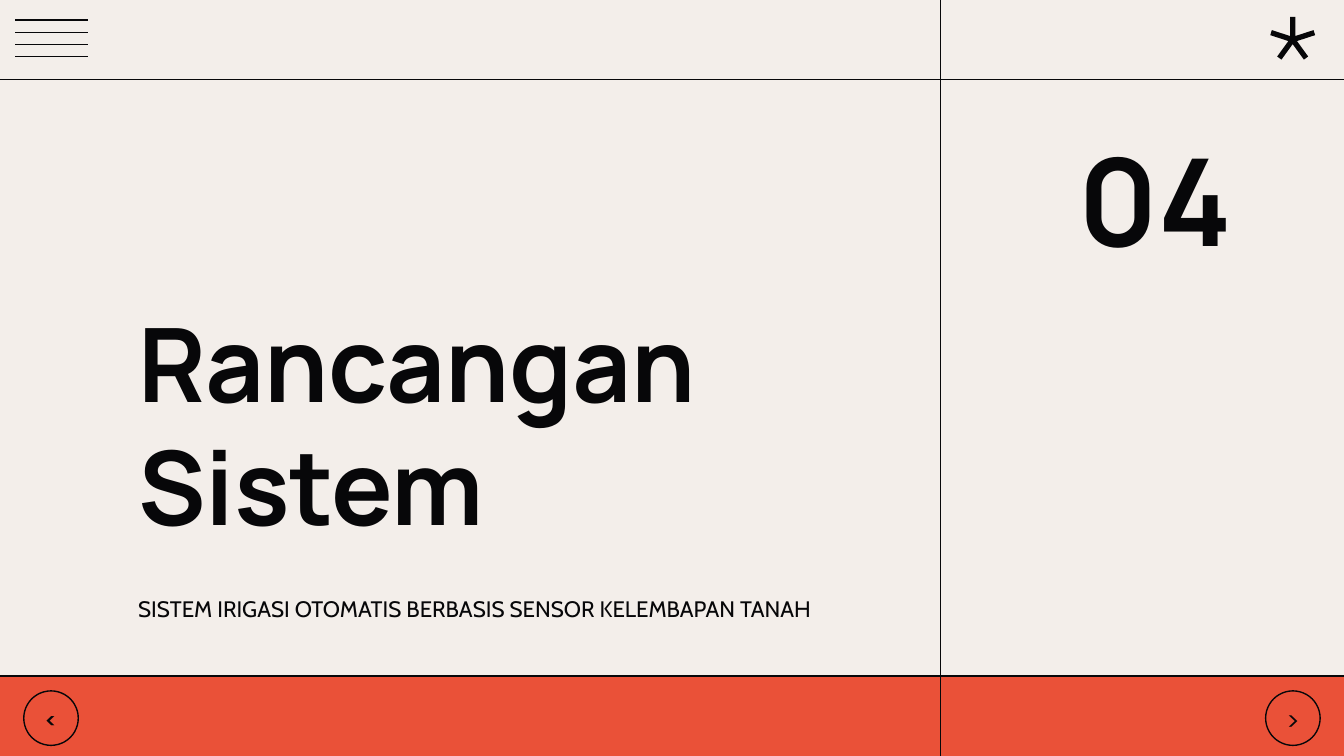
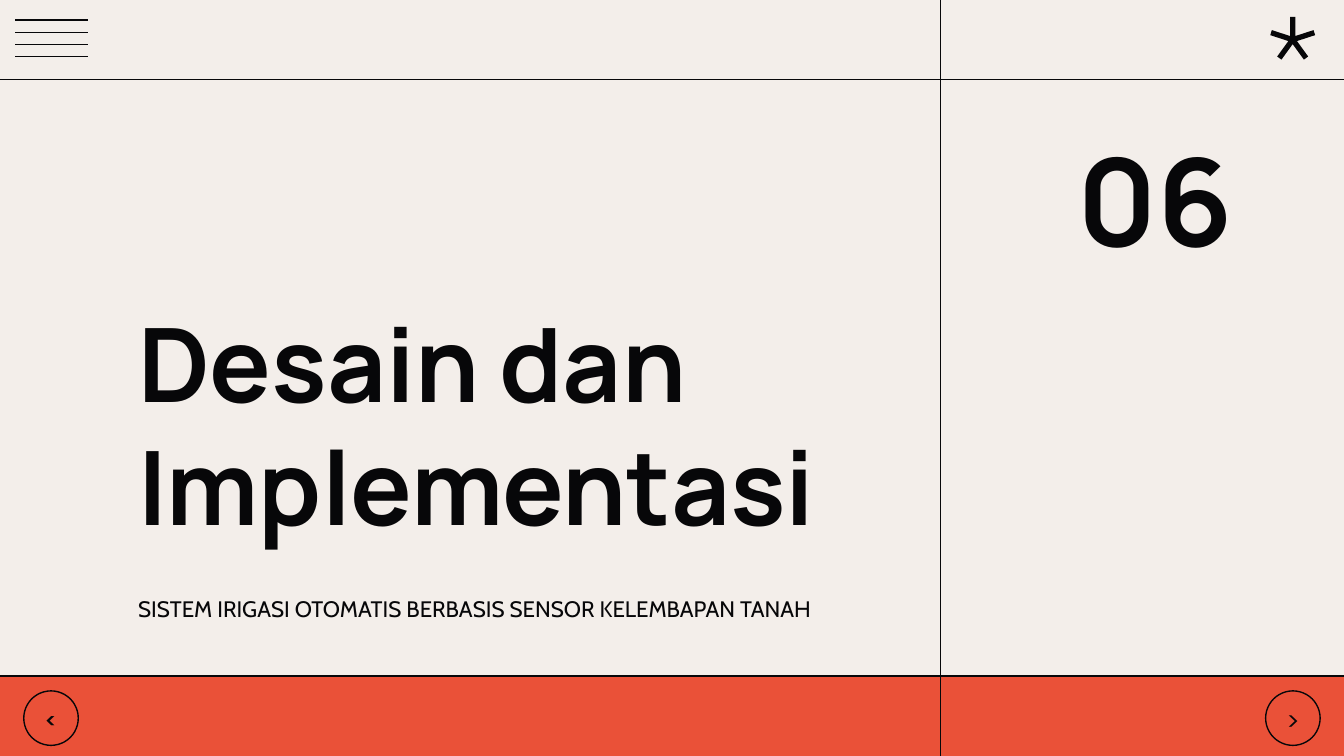
from math import cos, pi, sin

from lxml.etree import SubElement
from pptx import Presentation
from pptx.dml.color import RGBColor
from pptx.enum.shapes import MSO_CONNECTOR, MSO_SHAPE
from pptx.enum.text import MSO_ANCHOR, PP_ALIGN
from pptx.oxml.ns import qn
from pptx.util import Cm, Pt

SUBTITLE = "SISTEM IRIGASI OTOMATIS BERBASIS SENSOR KELEMBAPAN TANAH"
SECTIONS = [("04", "Rancangan Sistem"), ("06", "Desain dan Implementasi")]

INK = RGBColor(0x07, 0x07, 0x09)
PAPER = RGBColor(0xF3, 0xEE, 0xEA)
ORANGE = RGBColor(0xEA, 0x51, 0x38)
HEADING_FONT, BODY_FONT = "Manrope", "Cabin"

# All lengths below are centimetres.
WIDTH, HEIGHT = 25.4, 14.29
OVERHANG = 0.03
HEADER_RULE, FOOTER_RULE, FOOTER_TOP = 1.5, 12.78, 12.8
COLUMN_RULE = 17.78
MENU_LEFT, MENU_RIGHT, MENU_TOP, MENU_GAP, MENU_BARS = 0.28, 1.66, 0.38, 0.23, 4
STAR_X, STAR_Y, STAR_REACH, STAR_HALF_ARM, STAR_ARMS = 24.43, 0.75, 0.43, 0.05, 5
BUTTON_SIZE, BUTTON_MARGIN, BUTTON_TOP = 1.03, 0.45, 13.06
TEXT_LEFT, TEXT_WIDTH = 2.36, 14.07
INSET = 0.25


def add_rule(slide, x1, y1, x2, y2):
    rule = slide.shapes.add_connector(
        MSO_CONNECTOR.STRAIGHT, Cm(x1), Cm(y1), Cm(x2), Cm(y2))
    rule.line.color.rgb = INK
    rule.line.width = Pt(0.75)
    SubElement(rule._element.spPr, qn("a:effectLst"))


def write(shape, text, font, size, bold=False, align=PP_ALIGN.LEFT,
          anchor=MSO_ANCHOR.MIDDLE):
    frame = shape.text_frame
    frame.word_wrap = True
    frame.vertical_anchor = anchor
    frame.margin_left = frame.margin_right = Cm(INSET)
    frame.margin_top = frame.margin_bottom = Cm(INSET)
    paragraph = frame.paragraphs[0]
    paragraph.text = text
    paragraph.alignment = align
    paragraph.font.name = font
    paragraph.font.size = Pt(size)
    paragraph.font.bold = bold
    paragraph.font.color.rgb = INK
    return paragraph


def add_text(slide, left, top, width, height, *style, **options):
    box = slide.shapes.add_textbox(Cm(left), Cm(top), Cm(width), Cm(height))
    return write(box, *style, **options)


def add_star(slide):
    """Draw the asterisk: each arm has two tip corners, then a notch."""
    outline = []
    notch = STAR_HALF_ARM / sin(pi / STAR_ARMS)
    for arm in range(STAR_ARMS):
        angle = 2 * pi * arm / STAR_ARMS
        for side in (-STAR_HALF_ARM, STAR_HALF_ARM):
            outline.append((STAR_X + STAR_REACH * sin(angle) + side * cos(angle),
                            STAR_Y - STAR_REACH * cos(angle) + side * sin(angle)))
        angle += pi / STAR_ARMS
        outline.append((STAR_X + notch * sin(angle), STAR_Y - notch * cos(angle)))
    points = [(Cm(x), Cm(y)) for x, y in outline]
    builder = slide.shapes.build_freeform(*points[0])
    builder.add_line_segments(points[1:], close=True)
    star = builder.convert_to_shape()
    star.shadow.inherit = False
    star.fill.solid()
    star.fill.fore_color.rgb = INK
    star.line.fill.background()


def add_button(slide, left, symbol, size, bold):
    button = slide.shapes.add_shape(
        MSO_SHAPE.OVAL, Cm(left), Cm(BUTTON_TOP), Cm(BUTTON_SIZE), Cm(BUTTON_SIZE))
    button.shadow.inherit = False
    button.fill.background()
    button.line.color.rgb = INK
    button.line.width = Pt(0.75)
    write(button, symbol, BODY_FONT, size, bold, PP_ALIGN.CENTER)


def add_frame(slide):
    """Draw the background, footer band, rules, menu bars and asterisk."""
    slide.background.fill.solid()
    slide.background.fill.fore_color.rgb = PAPER
    footer = slide.shapes.add_shape(
        MSO_SHAPE.RECTANGLE, 0, Cm(FOOTER_TOP), Cm(WIDTH), Cm(HEIGHT - FOOTER_TOP))
    footer.shadow.inherit = False
    footer.fill.solid()
    footer.fill.fore_color.rgb = ORANGE
    footer.line.fill.background()
    for y in (HEADER_RULE, FOOTER_RULE):
        add_rule(slide, WIDTH + OVERHANG, y, -OVERHANG, y)
    for bar in range(MENU_BARS):
        y = MENU_TOP + bar * MENU_GAP
        add_rule(slide, MENU_RIGHT, y, MENU_LEFT, y)
    add_star(slide)


def add_section(deck, number, title):
    slide = deck.slides.add_slide(deck.slide_layouts[6])
    add_frame(slide)
    subtitle = add_text(slide, TEXT_LEFT, 10.85, TEXT_WIDTH, 1.24,
                        SUBTITLE, BODY_FONT, 12)
    subtitle.line_spacing = 1.15
    add_text(slide, TEXT_LEFT, 5.31, TEXT_WIDTH, 5.26, title, HEADING_FONT, 55,
             bold=True, anchor=MSO_ANCHOR.BOTTOM)
    add_text(slide, 20.02, 2.34, 3.63, 2.82, number, HEADING_FONT, 65,
             bold=True, align=PP_ALIGN.CENTER)
    add_rule(slide, COLUMN_RULE, -OVERHANG, COLUMN_RULE, HEIGHT + OVERHANG)
    add_button(slide, BUTTON_MARGIN, "<", 12, True)
    add_button(slide, WIDTH - BUTTON_MARGIN - BUTTON_SIZE, ">", 15, False)


def main():
    deck = Presentation()
    deck.slide_width, deck.slide_height = Cm(WIDTH), Cm(HEIGHT)
    for number, title in SECTIONS:
        add_section(deck, number, title)
    deck.save("out.pptx")


if __name__ == "__main__":
    main()
